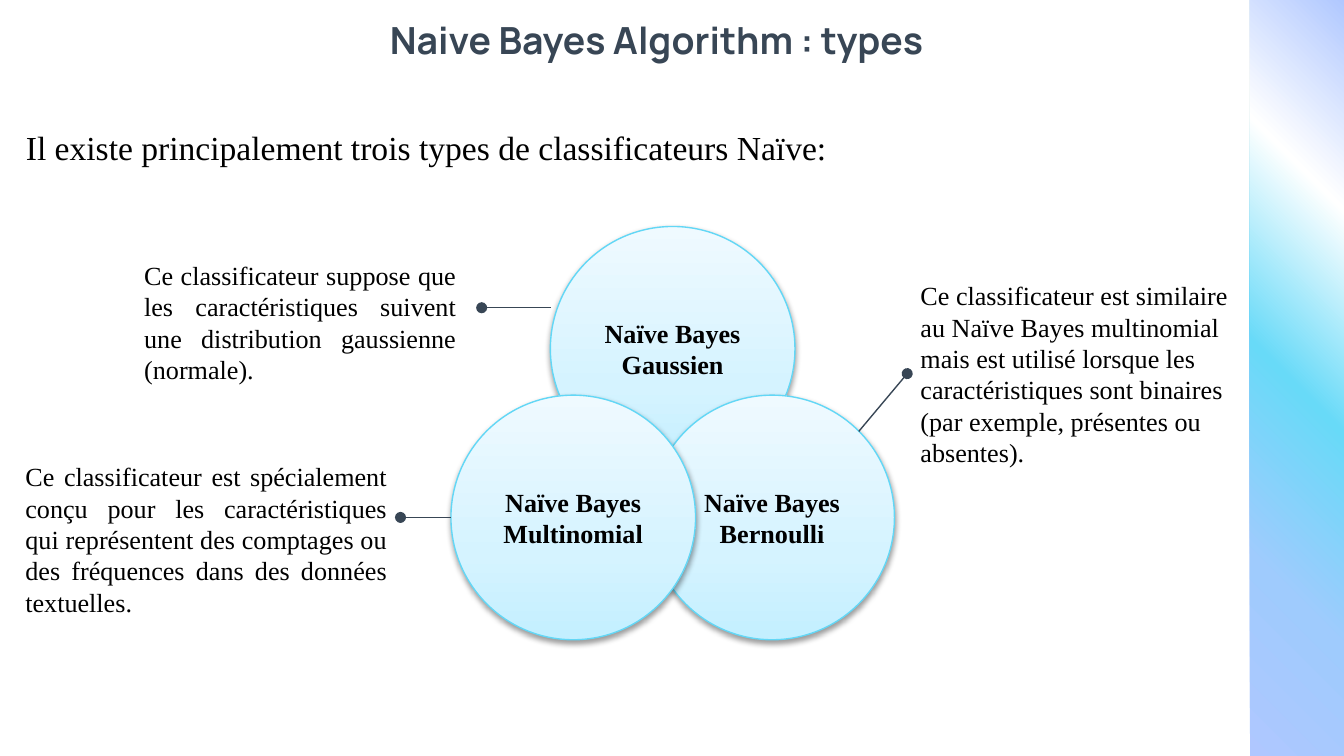
from lxml import etree
from pptx import Presentation
from pptx.dml.color import RGBColor
from pptx.enum.shapes import MSO_CONNECTOR, MSO_SHAPE
from pptx.enum.text import MSO_ANCHOR, MSO_AUTO_SIZE, PP_ALIGN
from pptx.oxml import parse_xml
from pptx.oxml.ns import qn
from pptx.util import Inches, Pt

LINE = MSO_CONNECTOR.STRAIGHT
RECT, OVAL = MSO_SHAPE.RECTANGLE, MSO_SHAPE.OVAL
TOP, MID, LOW = MSO_ANCHOR.TOP, MSO_ANCHOR.MIDDLE, MSO_ANCHOR.BOTTOM
LEFT, CENTER, FULL = PP_ALIGN.LEFT, PP_ALIGN.CENTER, PP_ALIGN.JUSTIFY
BLACK = RGBColor(0x00, 0x00, 0x00)
SLATE = RGBColor(0x38, 0x46, 0x55)
CYAN = RGBColor(0x62, 0xD7, 0xF6)
LILAC = RGBColor(0xAF, 0xC7, 0xFF)
SKY = RGBColor(0x9F, 0xCB, 0xFD)
AQUA = RGBColor(0x68, 0xDA, 0xF8)
WHITE = RGBColor(0xFF, 0xFF, 0xFF)
ICE = [(0, RGBColor(0xC3, 0xEF, 0xFF)), (35, RGBColor(0xD5, 0xF3, 0xFF)),
       (100, RGBColor(0xEF, 0xFA, 0xFF))]
BAR = [(0, LILAC), (24, SKY), (49, AQUA), (75, WHITE), (100, LILAC)]
SERIF = "Times New Roman"
NS = 'xmlns:a="http://schemas.openxmlformats.org/drawingml/2006/main"'
SHADOW = (f'<a:effectLst {NS}><a:outerShdw blurRad="40000" dist="20000" '
          'dir="5400000" rotWithShape="0"><a:srgbClr val="000000">'
          '<a:alpha val="38000"/></a:srgbClr></a:outerShdw></a:effectLst>')

deck = Presentation()
deck.slide_width = Inches(10)
deck.slide_height = deck.slide_width * 9 // 16
unit = deck.slide_width / 100
slide = deck.slides.add_slide(deck.slide_layouts[5])
shapes = slide.shapes


def grid(*vals):
    return [round(val * unit) for val in vals]


def write(shape, text, size, face=SERIF, color=BLACK, bold=False,
          align=LEFT, anchor=MID, pad=1):
    frame = shape.text_frame
    frame.text = text
    frame.word_wrap = True
    frame.auto_size = MSO_AUTO_SIZE.NONE
    frame.vertical_anchor = anchor
    frame.margin_left = frame.margin_right = round(unit)
    frame.margin_top = frame.margin_bottom = round(pad * unit)
    para = frame.paragraphs[0]
    para.alignment = align
    para.font.name, para.font.size = face, Pt(size)
    para.font.bold, para.font.color.rgb = bold, color
    return para


bar = shapes.add_shape(RECT, *grid(93, -0.3, 7, 56.8))
bar.line.fill.background()
bar.shadow.inherit = False

title = shapes.title
title.left, title.top, title.width, title.height = grid(28, 1, 47.5, 4.6)
write(title, "Naive Bayes Algorithm : types", 20, "Manrope", SLATE, True, anchor=LOW)

lead = shapes.add_textbox(*grid(0.94, 8, 69.8, 6))
para = write(lead, "Il existe principalement trois types de classificateurs Naïve:", 18,
             anchor=TOP)
para.line_spacing = 1.15

notes = []
for text, box, align in [
    ("Ce classificateur est spécialement conçu pour les caractéristiques qui "
     "représentent des comptages ou des fréquences dans des données textuelles.",
     (0.9, 32.7, 28.9, 14.8), FULL),
    ("Ce classificateur suppose que les caractéristiques suivent une "
     "distribution gaussienne (normale).", (9.74, 18.75, 25.2, 10.4), FULL),
    ("Ce classificateur est similaire au Naïve Bayes multinomial mais est utilisé "
     "lorsque les caractéristiques sont binaires (par exemple, présentes ou "
     "absentes).", (67.5, 19.75, 25.2, 16.1), LEFT),
]:
    note = shapes.add_textbox(*grid(*box))
    write(note, text, 14, align=align, pad=0.5)
    notes.append(note)

fills = [(bar, BAR, 315)]
for name, left, top in [("Gaussien", 40.95, 16.85), ("Bernoulli", 48.35, 29.4),
                        ("Multinomial", 33.55, 29.4)]:
    disc = shapes.add_shape(OVAL, *grid(left, top, 18.2, 18.2))
    disc.line.color.rgb, disc.line.width = CYAN, Pt(0.75)
    write(disc, f"Naïve Bayes {name}", 14, bold=True, align=CENTER)
    disc.element.spPr.append(parse_xml(SHADOW))
    fills.append((disc, ICE, 270))

for shape, stops, angle in fills:
    marks = "".join(f'<a:gs pos="{pos * 1000}"><a:srgbClr val="{color}"/></a:gs>'
                    for pos, color in stops)
    shade = parse_xml(f'<a:gradFill {NS} rotWithShape="1"><a:gsLst>{marks}</a:gsLst>'
                      f'<a:lin ang="{angle * 60000}" scaled="0"/></a:gradFill>')
    shape.element.spPr.find(qn("a:prstGeom")).addnext(shade)

links = []
for ends in [(33.55, 38.5, 29.8, 38.5), (41, 22.9, 35.84, 22.9),
             (63.9, 32.1, 67.5, 27.8)]:
    link = shapes.add_connector(LINE, *grid(*ends))
    link.line.color.rgb, link.line.width = SLATE, Pt(0.75)
    props = link.element.spPr
    etree.SubElement(props.find(qn("a:ln")), qn("a:tailEnd"), type="oval")
    etree.SubElement(props, qn("a:effectLst"))
    links.append(link)
links[-1].end_connect(notes[-1], 1)

deck.save("out.pptx")
